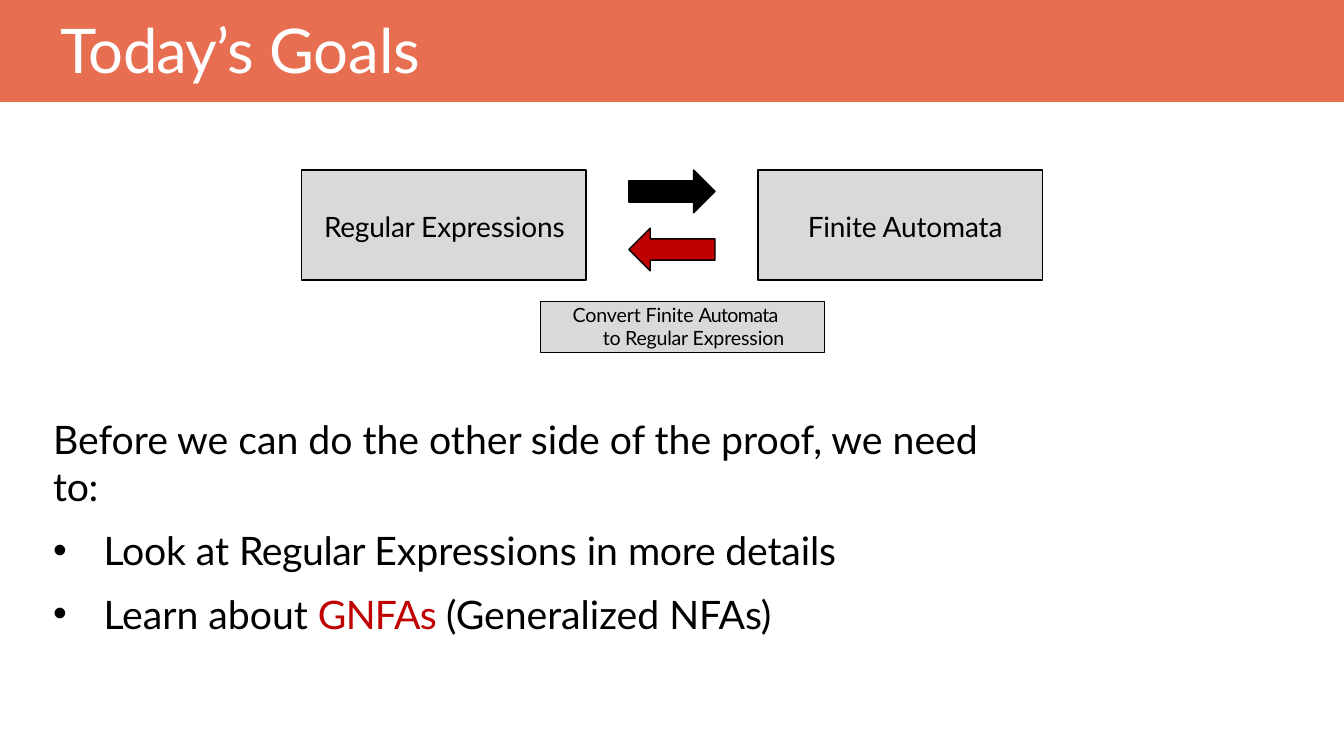
from collections import namedtuple
from dataclasses import dataclass

from lxml import etree
from pptx import Presentation
from pptx.dml.color import RGBColor
from pptx.enum import shapes, text
from pptx.oxml import ns
from pptx.util import Pt

Box = namedtuple("Box", "left top width height")


@dataclass(frozen=True)
class Theme:
    font: str = "Lato"
    band: str = "E76E51"
    white: str = "FFFFFF"
    ink: str = "000000"
    panel: str = "D9D9D9"
    accent: str = "C00000"
    title_size: float = 44
    body_size: float = 28
    label_size: float = 20
    caption_size: float = 14


THEME = Theme()


def place(item, box):
    item.left, item.top, item.width, item.height = (Pt(v) for v in box)


def write_paragraph(paragraph, runs, size, color=THEME.ink, before=0,
                    margin=0, indent=0, bullet=None):
    """Each run is (words, letter spacing) or (words, letter spacing, colour)."""
    properties = paragraph._p.get_or_add_pPr()
    properties.set("marL", str(Pt(margin)))
    properties.set("indent", str(Pt(indent)))
    mark = etree.SubElement(properties, ns.qn("a:buChar" if bullet else "a:buNone"))
    if bullet:
        mark.set("char", bullet)
    paragraph.alignment = text.PP_ALIGN.LEFT
    paragraph.space_before = Pt(before)
    for words, spacing, *own_color in runs:
        run = paragraph.add_run()
        run.text = words
        run.font.name = THEME.font
        run.font.size = Pt(size)
        run.font.color.rgb = RGBColor.from_string(own_color[0] if own_color else color)
        run._r.get_or_add_rPr().set("spc", str(round(spacing * 100)))


def set_frame(frame, top=0, right=0, anchor=text.MSO_ANCHOR.TOP):
    frame.word_wrap = True
    frame.auto_size = text.MSO_AUTO_SIZE.NONE
    frame.vertical_anchor = anchor
    frame.margin_left = frame.margin_bottom = 0
    frame.margin_top, frame.margin_right = Pt(top), Pt(right)


def add_block(slide, kind, box, fill, line=THEME.ink):
    block = slide.shapes.add_shape(kind, *(Pt(v) for v in box))
    block.shadow.inherit = False
    block.fill.solid()
    block.fill.fore_color.rgb = RGBColor.from_string(fill)
    if line:
        block.line.color.rgb = RGBColor.from_string(line)
        block.line.width = Pt(1)
    else:
        block.line.fill.background()
    return block


def build_header(slide, box):
    band = add_block(slide, shapes.MSO_SHAPE.RECTANGLE, box, THEME.band, line=None)
    title = slide.shapes.title
    title._element.addprevious(band._element)  # band lies behind the title
    place(title, Box(box.left + 42.5, box.top + 8, 842, 50))
    set_frame(title.text_frame, top=0.7)
    write_paragraph(title.text_frame.paragraphs[0],
                    [("Today’s ", -0.6), ("Goals", -0.1)],
                    THEME.title_size, THEME.white, margin=1)


def build_diagram(slide, box):
    node_width, node_height = 203, 78.5
    rectangle = shapes.MSO_SHAPE.RECTANGLE

    # The two equivalent models
    models = [
        (box.left, 16, [("Regular ", -0.2), ("Expressions", -0.1)]),
        (box.left + box.width - node_width, 35.5, [("Finite Automata", -0.1)]),
    ]
    for left, margin, label in models:
        model = add_block(slide, rectangle,
                          Box(left, box.top, node_width, node_height), THEME.panel)
        set_frame(model.text_frame, top=2, anchor=text.MSO_ANCHOR.MIDDLE)
        write_paragraph(model.text_frame.paragraphs[0], label,
                        THEME.label_size, margin=margin)

    # Conversion arrows between the models
    arrow_width, arrow_height, arrow_step = 61.5, 30.5, 41.5
    arrow_left = box.left + (box.width - arrow_width) / 2
    directions = [(shapes.MSO_SHAPE.RIGHT_ARROW, THEME.ink),
                  (shapes.MSO_SHAPE.LEFT_ARROW, THEME.accent)]
    for row, (kind, fill) in enumerate(directions):
        add_block(slide, kind, Box(arrow_left, box.top + row * arrow_step,
                                   arrow_width, arrow_height), fill)

    # Caption under the arrows
    caption_height = 36.7
    caption = add_block(slide, rectangle,
                        Box(box.left + 170.5, box.top + box.height - caption_height,
                            node_width, caption_height), THEME.panel)
    set_frame(caption.text_frame, top=0.7, right=24)
    write_paragraph(caption.text_frame.paragraphs[0],
                    [("Convert Finite ", -0.1), ("Automata ", -0.5),
                     ("to Regular ", -0.2), ("Expression", -0.1)],
                    THEME.caption_size, margin=44.6, indent=-21.6)


def build_goals(slide, box):
    goals = slide.placeholders[1]
    place(goals, box)
    frame = goals.text_frame
    set_frame(frame, top=13)
    write_paragraph(frame.paragraphs[0],
                    [("Before we can do the other side of the proof, we need ", 0),
                     ("to:", -0.2)], THEME.body_size, margin=1)
    steps = [
        [("Look ", -0.1), ("at ", 0), ("Regular ", -0.3), ("Expressions in ", 0),
         ("more ", -0.2), ("details", -0.1)],
        [("Learn about ", 0), ("GNFAs ", -0.5, THEME.accent),
         ("(Generalized ", 0), ("NFAs)", -0.1)],
    ]
    for step in steps:
        write_paragraph(frame.add_paragraph(), step, THEME.body_size,
                        before=12, margin=37, indent=-36, bullet="•")


def main():
    deck = Presentation()
    deck.slide_width, deck.slide_height = Pt(960), Pt(540)
    slide = deck.slides.add_slide(deck.slide_layouts[1])
    build_header(slide, Box(0, 0, 960, 72.7))
    build_diagram(slide, Box(215.5, 121.5, 529, 130.5))
    build_goals(slide, Box(37, 283.5, 671, 139))
    deck.save("out.pptx")


if __name__ == "__main__":
    main()
